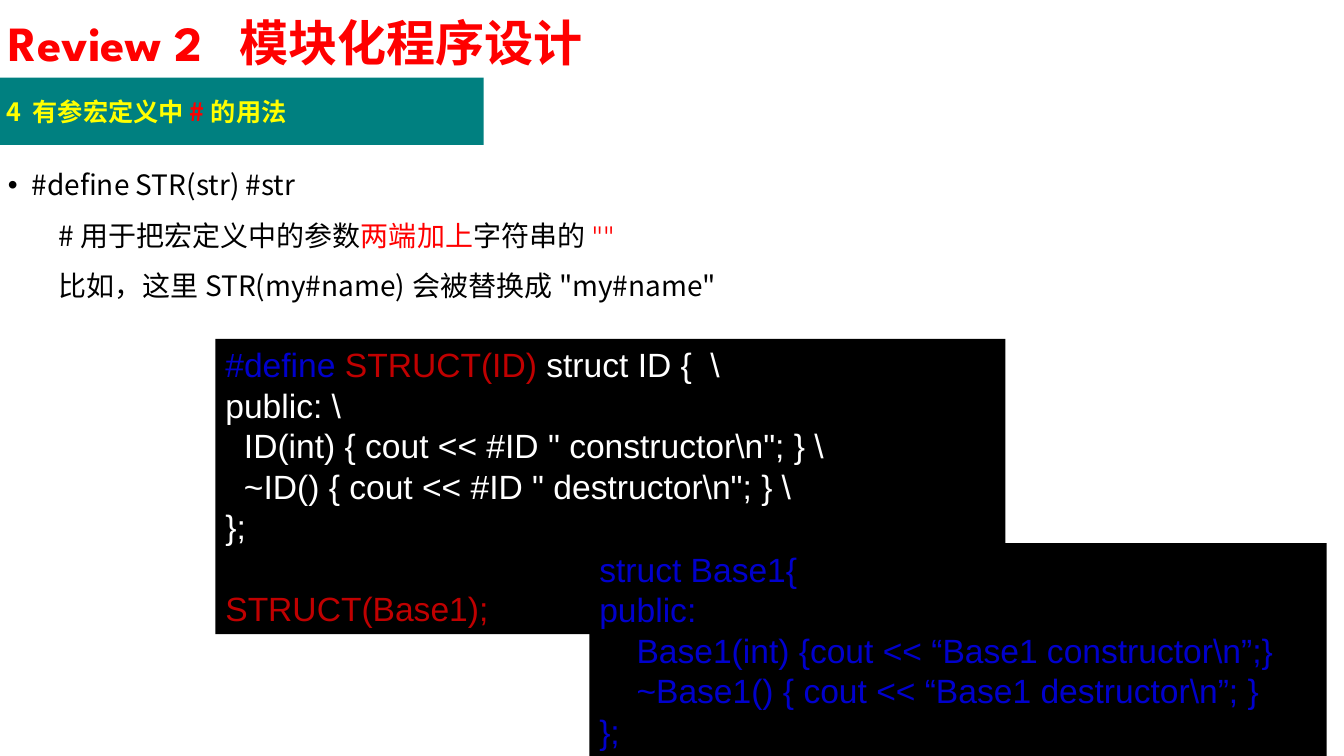
from pptx import Presentation
from pptx.dml.color import RGBColor
from pptx.enum import shapes, text
from pptx.oxml import ns, xmlchemy as xc
from pptx.util import Pt

COLORS = {"red": "FF0000", "teal": "008080", "yellow": "FFFF00",
          "black": "000000", "white": "FFFFFF", "blue": "0000CC",
          "dark": "C00000"}
CJK = "Noto Sans CJK SC"
LEFT = -1.4


def color(name):
    return RGBColor.from_string(COLORS[name])


def add_runs(para, parts, size, font=CJK, bold=False):
    """Add runs given as (text, colour) or (text, colour, font)."""
    for words, tint, *other in parts:
        run = para.add_run()
        run.text = words
        face = other[0] if other else font
        run.font.name = face
        run.font.size = Pt(size)
        run.font.bold = bold
        run.font.color.rgb = color(tint)
        east = xc.OxmlElement("a:ea")
        east.set("typeface", CJK)
        run.font._element.find(ns.qn("a:latin")).addnext(east)


def set_indent(para, margin, bullet=False):
    props = para._p.get_or_add_pPr()
    props.set("marL", str(Pt(margin)))
    props.set("indent", str(Pt(-margin if bullet else 0)))
    mark = xc.OxmlElement("a:buChar" if bullet else "a:buNone")
    if bullet:
        face = xc.OxmlElement("a:buFont")
        face.set("typeface", "Arial")
        props.append(face)
        mark.set("char", "•")
    props.append(mark)


def add_panel(slide, box, fill):
    panel = slide.shapes.add_shape(shapes.MSO_SHAPE.RECTANGLE, *map(Pt, box))
    panel.shadow.inherit = False
    panel.fill.solid()
    panel.fill.fore_color.rgb = color(fill)
    panel.line.fill.background()
    frame = panel.text_frame
    frame.word_wrap = True
    frame.paragraphs[0].alignment = text.PP_ALIGN.LEFT
    return frame


def add_code(slide, box, lines):
    """Add a black panel; an empty line becomes space before the next."""
    frame = add_panel(slide, box, "black")
    frame.vertical_anchor = text.MSO_ANCHOR.TOP
    step, gap = Pt(29), 0
    for i, parts in enumerate(lines):
        if not parts:
            gap += step
            continue
        para = frame.add_paragraph() if i else frame.paragraphs[0]
        para.alignment = text.PP_ALIGN.LEFT
        para.line_spacing = step
        if gap:
            para.space_before, gap = gap, 0
        add_runs(para, parts, 24, "Arial")


def add_title(slide):
    title = slide.shapes.title
    title.left, title.top = Pt(LEFT), Pt(3.6)
    title.width, title.height = Pt(496), Pt(52.6)
    frame = title.text_frame
    frame.auto_size = text.MSO_AUTO_SIZE.NONE
    frame.vertical_anchor = text.MSO_ANCHOR.MIDDLE
    para = frame.paragraphs[0]
    para.alignment = text.PP_ALIGN.LEFT
    add_runs(para, [("Review 2  ", "red", "League Spartan"),
                    ("模块化程序设计", "red")], 35.1, bold=True)


def add_topic(slide):
    frame = add_panel(slide, (LEFT, 55.4, 347, 48.2), "teal")
    frame.vertical_anchor = text.MSO_ANCHOR.MIDDLE
    frame.margin_left = frame.margin_right = Pt(5.8)
    frame.margin_top = frame.margin_bottom = Pt(2.9)
    add_runs(frame.paragraphs[0],
             [("4 有参宏定义中", "yellow"), ("#", "red"), ("的用法", "yellow")],
             18, bold=True)


def add_notes(slide, lines):
    box = map(Pt, (LEFT, 104.4, 526, 116))
    frame = slide.shapes.add_textbox(*box).text_frame
    frame.word_wrap = True
    for i, parts in enumerate(lines):
        para = frame.add_paragraph() if i else frame.paragraphs[0]
        para.level = 1 if i else 0
        para.line_spacing = 1.5
        set_indent(para, 36 if i else 17, bullet=not i)
        add_runs(para, parts, 20)


def main():
    deck = Presentation()
    deck.slide_width, deck.slide_height = Pt(960.5), Pt(540)
    slide = deck.slides.add_slide(deck.slide_layouts[5])
    add_title(slide)
    add_notes(slide, [
        [("#define STR(str) #str", "black")],
        [("#用于把宏定义中的参数", "black"), ("两端加上", "red"),
         ("字符串的", "black"), ('""', "red", "Montserrat")],
        [('比如，这里STR(my#name)会被替换成"my#name"', "black")],
    ])
    add_topic(slide)
    add_code(slide, (154, 242, 564.5, 211), [
        [("#define ", "blue"), ("STRUCT(ID) ", "dark"),
         ("struct ID {  \\", "white")],
        [("public: \\", "white")],
        [('  ID(int) { cout << #ID " constructor\\n"; } \\', "white")],
        [('  ~ID() { cout << #ID " destructor\\n"; } \\', "white")],
        [("};", "white")],
        [],
        [("STRUCT(Base1);", "dark")],
    ])
    base = ["struct Base1{", "public:",
            "    Base1(int) {cout << “Base1 constructor\\n”;}",
            "    ~Base1() { cout << “Base1 destructor\\n”; }", "};"]
    add_code(slide, (421.2, 388, 527, 152.6),
             [[(line, "blue")] for line in base])
    deck.save("out.pptx")


if __name__ == "__main__":
    main()
